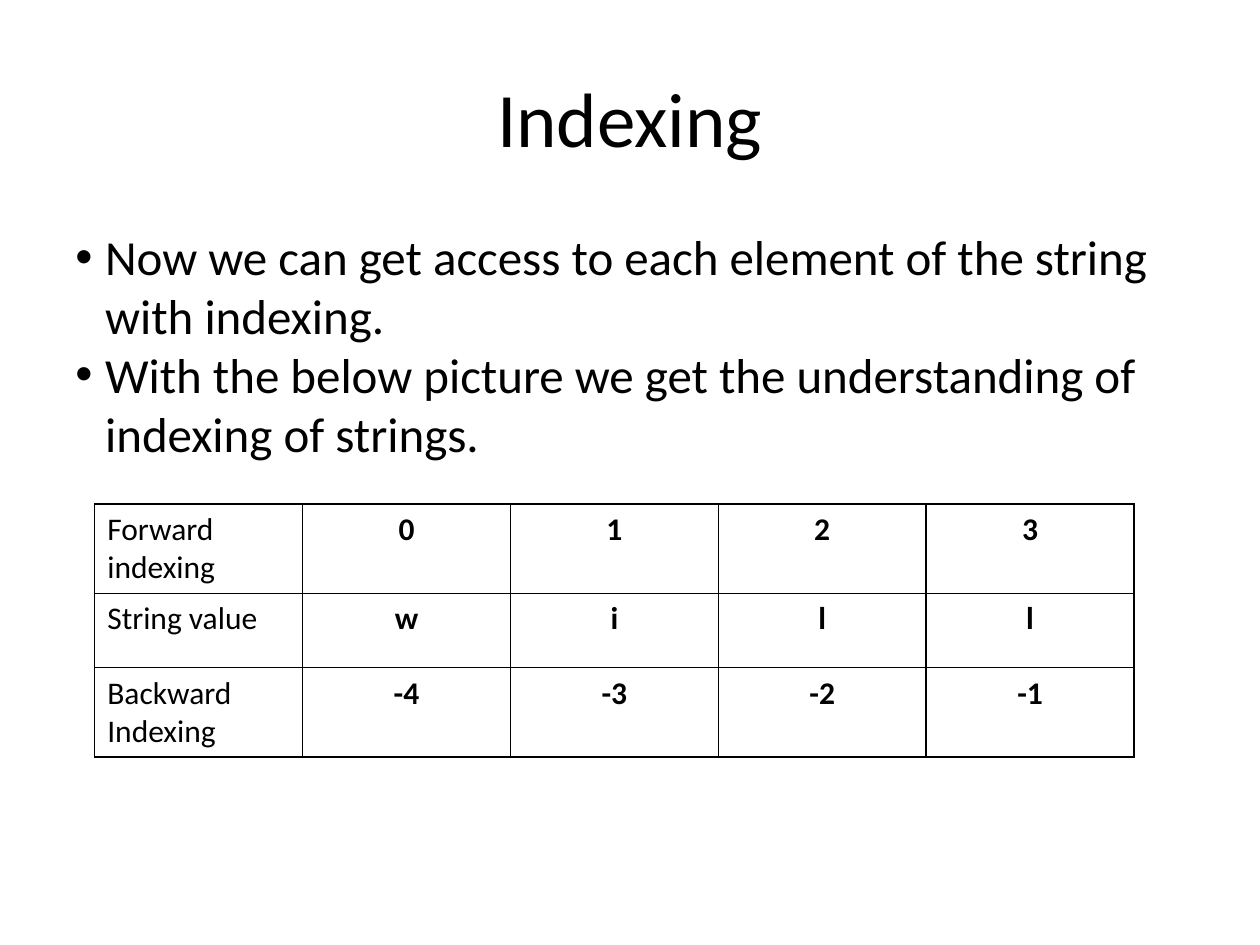
from lxml import etree
from pptx import Presentation
from pptx.dml.color import RGBColor
from pptx.enum.text import MSO_ANCHOR, PP_ALIGN
from pptx.oxml.ns import qn
from pptx.util import Cm, Pt

BLACK = RGBColor(0x00, 0x00, 0x00)
FONT = "Calibri"


def add_text(p, text, size, bold=False, align=PP_ALIGN.LEFT):
    p.alignment = align
    r = p.add_run()
    r.text = text
    r.font.name = FONT
    r.font.size = Pt(size)
    r.font.bold = bold
    r.font.color.rgb = BLACK


def add_borders(cell):
    tcPr = cell._tc.get_or_add_tcPr()
    for i, side in enumerate(("a:lnL", "a:lnR", "a:lnT", "a:lnB")):
        ln = etree.Element(qn(side), w=str(Pt(1)))
        fill = etree.SubElement(ln, qn("a:solidFill"))
        etree.SubElement(fill, qn("a:srgbClr"), val=str(BLACK))
        tcPr.insert(i, ln)


prs = Presentation()
prs.slide_width, prs.slide_height = Cm(25.4), Cm(19.05)
s = prs.slides.add_slide(prs.slide_layouts[6])

# Title
tf = s.shapes.add_textbox(Cm(1.27), Cm(0.76), Cm(22.86), Cm(3.18)).text_frame
tf.word_wrap = True
tf.vertical_anchor = MSO_ANCHOR.MIDDLE
add_text(tf.paragraphs[0], "Indexing", 44, align=PP_ALIGN.CENTER)

# Bullets
bullets = [
    "Now we can get access to each element of the string with indexing.",
    "With the below picture we get the understanding of indexing of strings.",
]
tf = s.shapes.add_textbox(Cm(1.27), Cm(4.45), Cm(22.86), Cm(12.57)).text_frame
tf.word_wrap = True
for i, text in enumerate(bullets):
    p = tf.add_paragraph() if i else tf.paragraphs[0]
    add_text(p, text, 28)
    pPr = p._p.get_or_add_pPr()
    pPr.set("marL", str(Cm(0.6)))
    pPr.set("indent", str(-Cm(0.6)))
    etree.SubElement(pPr, qn("a:buFont"), typeface="Arial")
    etree.SubElement(pPr, qn("a:buChar"), char="•")

# Index table
rows = [
    ("Forward indexing", "0", "1", "2", "3"),
    ("String value", "w", "i", "l", "l"),
    ("Backward Indexing", "-4", "-3", "-2", "-1"),
]
heights = [Cm(1.8), Cm(1.5), Cm(1.8)]
table = s.shapes.add_table(len(rows), len(rows[0]), Cm(1.91), Cm(10.16),
                           Cm(20.95), sum(heights)).table
table.first_row = table.horz_banding = False
for col in table.columns:
    col.width = Cm(4.19)
for i, values in enumerate(rows):
    table.rows[i].height = heights[i]
    for j, value in enumerate(values):
        cell = table.cell(i, j)
        cell.fill.background()
        add_borders(cell)
        align = PP_ALIGN.CENTER if j else PP_ALIGN.LEFT
        add_text(cell.text_frame.paragraphs[0], value, 18, j > 0, align)

prs.save("out.pptx")
